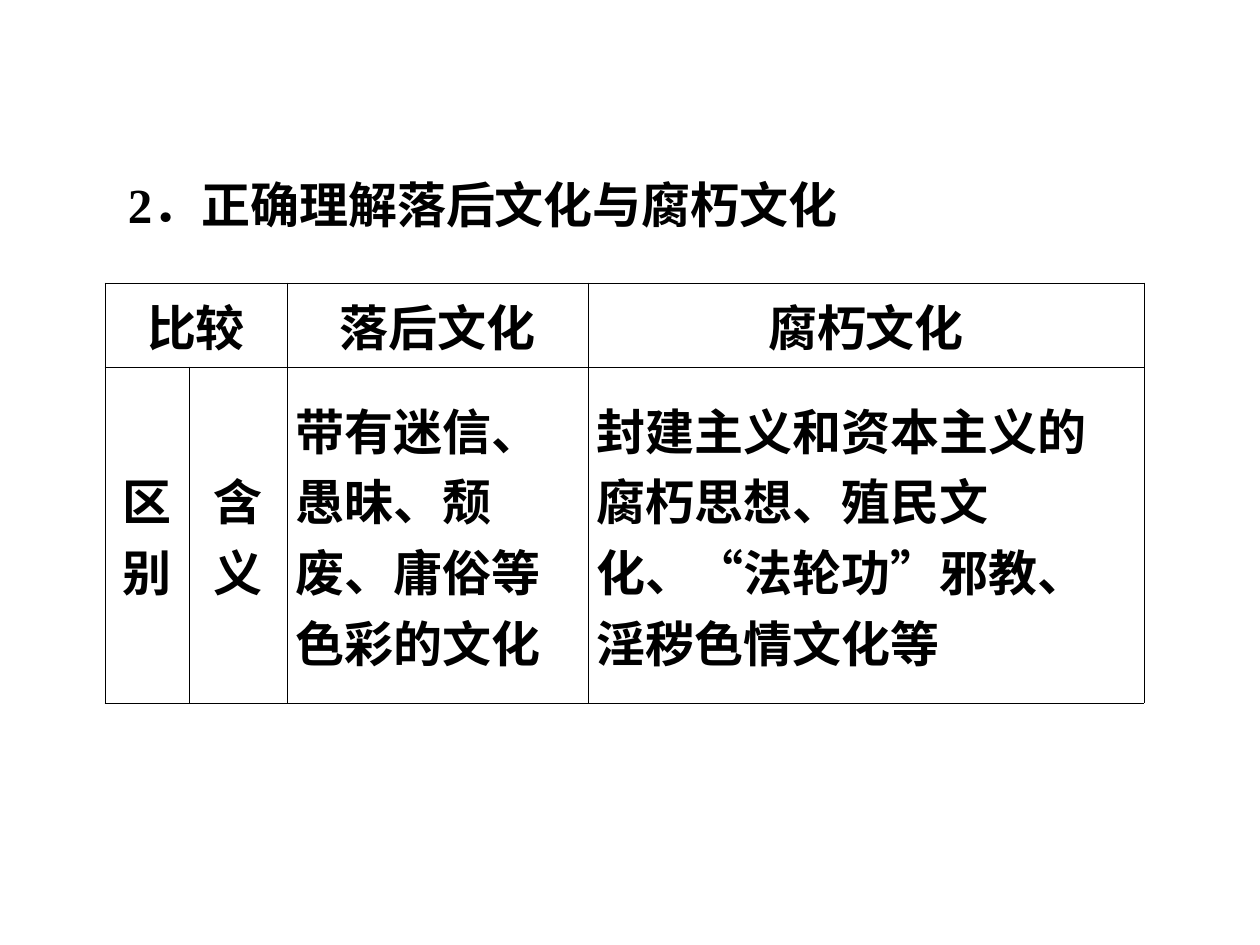
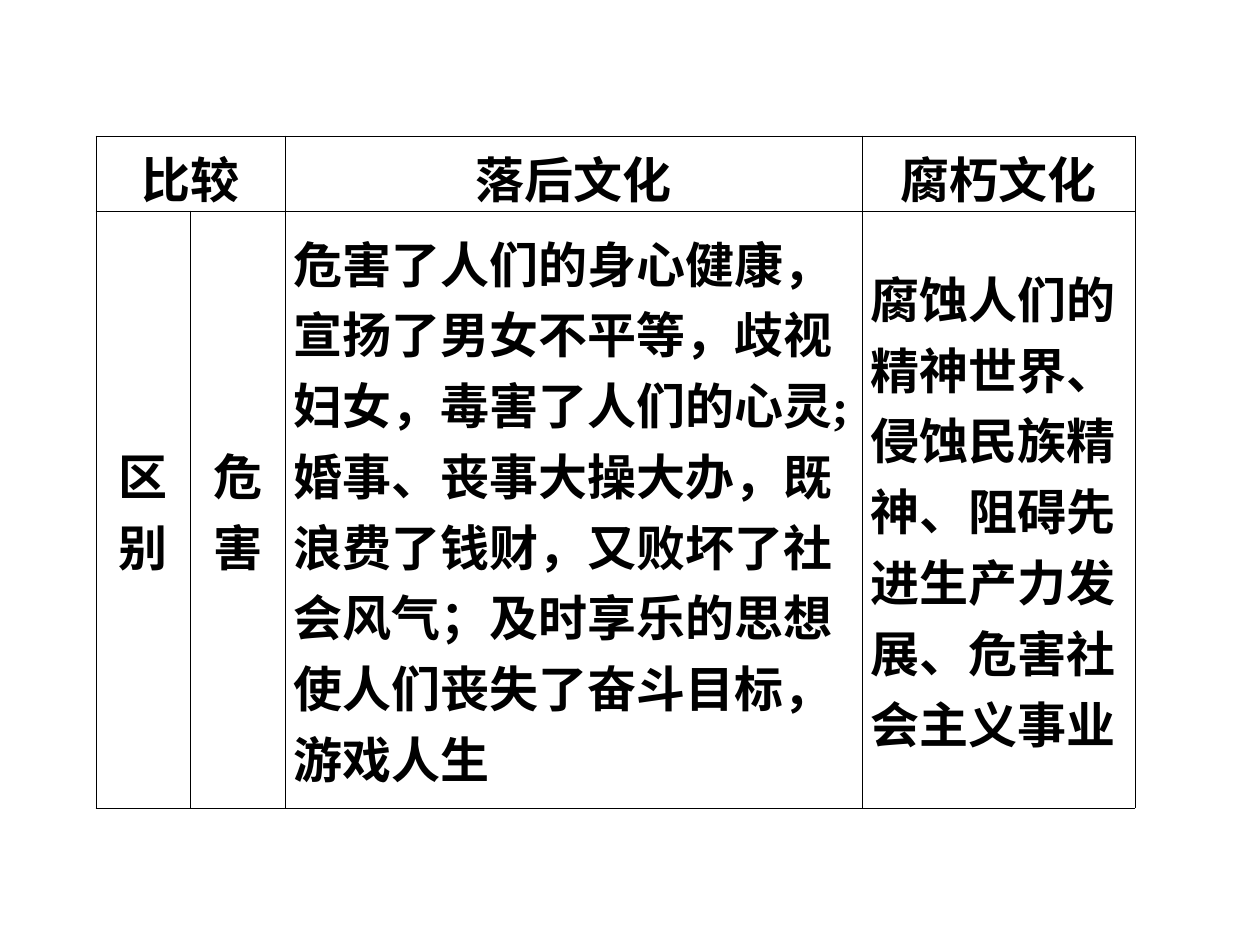
from lxml.etree import SubElement
from pptx import Presentation
from pptx.dml.color import RGBColor
from pptx.enum.lang import MSO_LANGUAGE_ID
from pptx.enum.text import MSO_ANCHOR, MSO_AUTO_SIZE, PP_ALIGN
from pptx.oxml import parse_xml
from pptx.oxml.ns import nsdecls, qn
from pptx.util import Pt

# Content
HEADER = ["比较", "", "落后文化", "腐朽文化"]
SLIDES = [
    {
        "title": "2．正确理解落后文化与腐朽文化",
        "origin": (105, 283),
        "cols": [84, 98, 301, 556],
        "rows": [84, 336],
        "body": [
            "区别",
            "含义",
            "带有迷信、愚昧、颓废、庸俗等色彩的文化",
            "封建主义和资本主义的腐朽思想、殖民文化、“法轮功”邪教、淫秽色情文化等",
        ],
    },
    {
        "title": None,
        "origin": (96, 136),
        "cols": [94, 95, 577, 273],
        "rows": [75, 597],
        "body": [
            "区别",
            "危害",
            "危害了人们的身心健康，宣扬了男女不平等，歧视妇女，毒害了人们的心灵;"
            "婚事、丧事大操大办，既浪费了钱财，又败坏了社会风气；"
            "及时享乐的思想使人们丧失了奋斗目标，游戏人生",
            "腐蚀人们的精神世界、侵蚀民族精神、阻碍先进生产力发展、危害社会主义事业",
        ],
    },
]

# Shared style
COLORS = {"text": "000000", "border": "000000"}
FONT = {"name": "Times New Roman", "size": Pt(28), "bold": True,
        "language_id": MSO_LANGUAGE_ID.SIMPLIFIED_CHINESE}
TITLE_BOX = {"left": 115, "top": 168, "width": 840, "height": 72}
TITLE_FRAME = {"margin_left": 13, "margin_right": 13,
               "margin_top": 6, "margin_bottom": 6}
CELL_MARGINS = {"margin_left": 9, "margin_right": 9,
                "margin_top": 6, "margin_bottom": 6}
BORDER_WIDTH = Pt(0.45)
TITLE_ONLY, BLANK = 5, 6


def px(n):
    return round(n * 914400 / 126)


def set_attrs(obj, values, scale=lambda v: v):
    for name, value in values.items():
        setattr(obj, name, scale(value))


def write(tf, text, align):
    p = tf.paragraphs[0]
    p.alignment = align
    # Keep punctuation inside the right margin
    p._p.get_or_add_pPr().set("hangingPunct", "0")
    r = p.add_run()
    r.text = text
    set_attrs(r.font, FONT)
    r.font.color.rgb = RGBColor.from_string(COLORS["text"])


def add_borders(cell):
    tcPr = cell._tc.get_or_add_tcPr()
    for i, side in enumerate("LRTB"):
        ln = parse_xml(f'<a:ln{side} {nsdecls("a")} w="{BORDER_WIDTH}"/>')
        fill = SubElement(ln, qn("a:solidFill"))
        SubElement(fill, qn("a:srgbClr"), val=COLORS["border"])
        tcPr.insert(i, ln)


def add_title(s, text):
    sp = s.shapes.title
    set_attrs(sp, TITLE_BOX, px)
    tf = sp.text_frame
    set_attrs(tf, TITLE_FRAME, px)
    set_attrs(tf, {"word_wrap": True, "vertical_anchor": MSO_ANCHOR.TOP,
                   "auto_size": MSO_AUTO_SIZE.SHAPE_TO_FIT_TEXT})
    write(tf, text, PP_ALIGN.JUSTIFY)


def add_comparison(s, origin, cols, rows, body):
    box = [px(n) for n in (*origin, sum(cols), sum(rows))]
    table = s.shapes.add_table(len(rows), len(cols), *box).table
    set_attrs(table, {"first_row": False, "horz_banding": False})
    for col, width in zip(table.columns, cols):
        col.width = px(width)
    for row, height in zip(table.rows, rows):
        row.height = px(height)
    table.cell(0, 0).merge(table.cell(0, 1))

    for r, texts in enumerate([HEADER, body]):
        for c, text in enumerate(texts):
            cell = table.cell(r, c)
            set_attrs(cell, CELL_MARGINS, px)
            cell.vertical_anchor = MSO_ANCHOR.MIDDLE
            add_borders(cell)
            cell.fill.background()
            if text:
                # Headings and row labels are centred, descriptions are not
                centred = r == 0 or c < 2
                write(cell.text_frame, text,
                      PP_ALIGN.CENTER if centred else PP_ALIGN.LEFT)


def main():
    prs = Presentation()
    prs.slide_width, prs.slide_height = px(1260), px(945)
    for item in SLIDES:
        layout = TITLE_ONLY if item["title"] else BLANK
        s = prs.slides.add_slide(prs.slide_layouts[layout])
        if item["title"]:
            add_title(s, item["title"])
        add_comparison(s, item["origin"], item["cols"], item["rows"], item["body"])
    prs.save("out.pptx")


if __name__ == "__main__":
    main()
